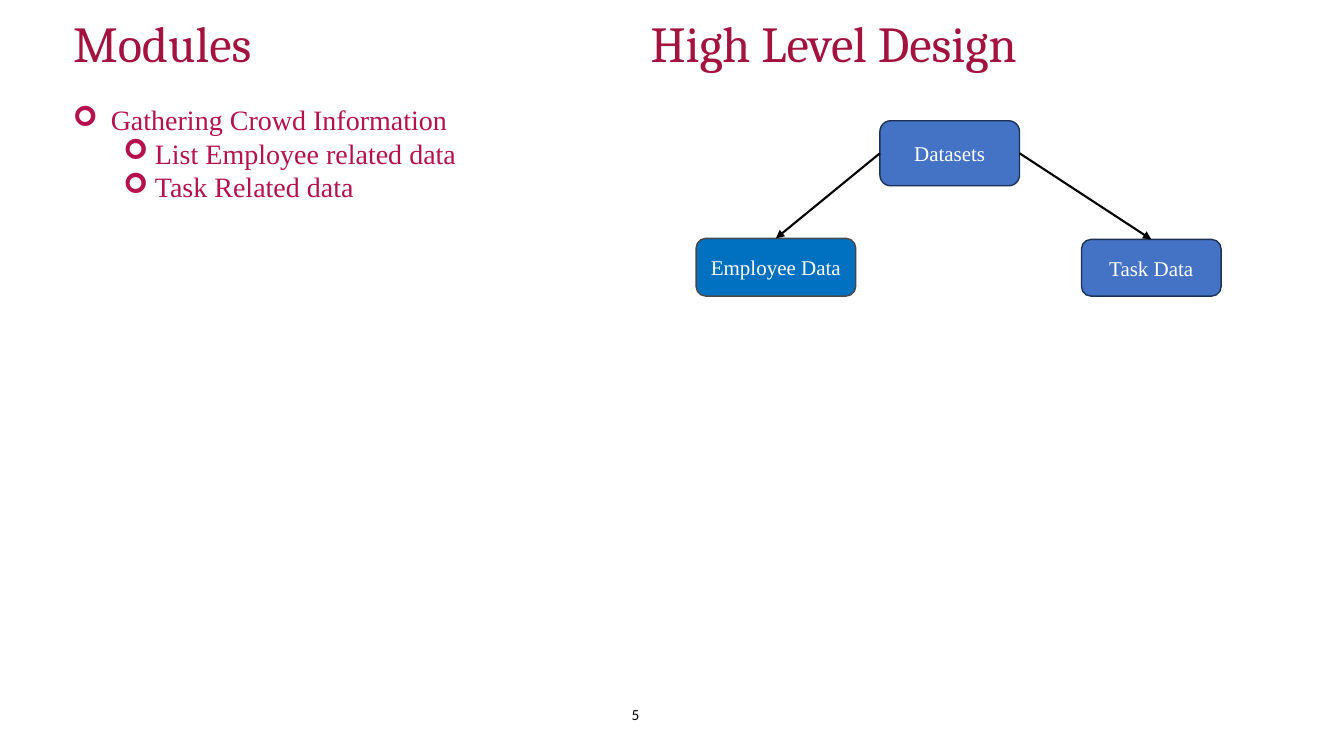
from lxml.etree import SubElement
from pptx import Presentation
from pptx.dml.color import RGBColor
from pptx.enum.shapes import MSO_CONNECTOR, MSO_SHAPE
from pptx.enum.text import MSO_ANCHOR, MSO_AUTO_SIZE, PP_ALIGN
from pptx.oxml.ns import qn
from pptx.util import Pt

PX = 9525  # EMU per pixel, 96 pixels to the inch

CRIMSON = RGBColor(0xA4, 0x12, 0x3F)
RASPBERRY = RGBColor(0xB6, 0x11, 0x4D)
BLUE = RGBColor(0x44, 0x72, 0xC4)
NAVY = RGBColor(0x1E, 0x32, 0x56)
BRIGHT_BLUE = RGBColor(0x00, 0x70, 0xC0)
GRAY = RGBColor(0x48, 0x48, 0x48)
BLACK = RGBColor(0, 0, 0)
WHITE = RGBColor(255, 255, 255)

SERIF = "Times New Roman"
TOP, LEFT, RIGHT = 0, 1, 3  # connection sites


def px(*lengths):
    return [length * PX for length in lengths]


def write(paragraph, text, font=SERIF, size=20, color=BLACK, align=PP_ALIGN.LEFT):
    paragraph.alignment = align
    run = paragraph.add_run()
    run.text = text
    run.font.name = font
    run.font.size = Pt(size)
    run.font.color.rgb = color


def add_title(slide, box, headings, column_gap):
    """Both headings share the title, the second one at a tab stop."""
    title = slide.shapes.title
    title.left, title.top, title.width, title.height = px(*box)
    frame = title.text_frame
    frame.auto_size = MSO_AUTO_SIZE.NONE
    frame.vertical_anchor = MSO_ANCHOR.MIDDLE
    paragraph = frame.paragraphs[0]
    paragraph.line_spacing = 0.9
    write(paragraph, "\t".join(headings), font="Cambria", size=36, color=CRIMSON)
    tabs = SubElement(paragraph._p.get_or_add_pPr(), qn("a:tabLst"))
    SubElement(tabs, qn("a:tab"), pos=str(column_gap * PX), algn="l")


def add_text_box(slide, box):
    frame = slide.shapes.add_textbox(*px(*box)).text_frame
    frame.word_wrap = True
    return frame


def add_module_list(slide, box, items):
    frame = add_text_box(slide, box)
    indents = [(36, -36), (78, -30)]  # left margin and hanging indent per level
    for index, (level, text) in enumerate(items):
        paragraph = frame.add_paragraph() if index else frame.paragraphs[0]
        paragraph.level = level
        write(paragraph, text, color=RASPBERRY)
        margin, indent = px(*indents[level])
        properties = paragraph._p.get_or_add_pPr()
        properties.set("marL", str(margin))
        properties.set("indent", str(indent))
        SubElement(properties, qn("a:buFont"), typeface="Wingdings")
        SubElement(properties, qn("a:buChar"), char="➢")


def add_node(slide, box, text, fill=BLUE, line=NAVY):
    node = slide.shapes.add_shape(MSO_SHAPE.ROUNDED_RECTANGLE, *px(*box))
    node.shadow.inherit = False
    node.fill.solid()
    node.fill.fore_color.rgb = fill
    node.line.color.rgb = line
    node.line.width = Pt(1)
    frame = node.text_frame
    frame.word_wrap = True
    frame.vertical_anchor = MSO_ANCHOR.MIDDLE
    write(frame.paragraphs[0], text, size=15, color=WHITE, align=PP_ALIGN.CENTER)
    return node


def add_arrow(slide, start, start_site, end, end_site):
    arrow = slide.shapes.add_connector(MSO_CONNECTOR.STRAIGHT, 0, 0, 0, 0)
    arrow.begin_connect(start, start_site)
    arrow.end_connect(end, end_site)
    arrow.line.color.rgb = BLACK
    arrow.line.width = Pt(1.5)
    SubElement(arrow.line._get_or_add_ln(), qn("a:tailEnd"), type="triangle")
    SubElement(arrow._element.spPr, qn("a:effectLst"))


def add_design_diagram(slide, box):
    left, top, width, height = box
    node_width = 133
    bottom = top + height
    employee = add_node(slide, (left, bottom - 55, 152, 55), "Employee Data",
                        fill=BRIGHT_BLUE, line=GRAY)
    datasets = add_node(slide, (left + 175, top, node_width, 62), "Datasets")
    task = add_node(slide, (left + width - node_width, bottom - 54, node_width, 54),
                    "Task Data")
    add_arrow(slide, datasets, LEFT, employee, TOP)
    add_arrow(slide, datasets, RIGHT, task, TOP)


def add_page_number(slide, box, number):
    frame = add_text_box(slide, box)
    write(frame.paragraphs[0], number, font="Calibri", size=11)


def main():
    presentation = Presentation()
    presentation.slide_width, presentation.slide_height = px(1280, 720)
    slide = presentation.slides.add_slide(presentation.slide_layouts[5])

    add_title(slide, (60, 22, 1104, 44), ["Modules", "High Level Design"], 550)
    add_design_diagram(slide, (663, 115, 500, 167))
    add_module_list(slide, (60, 93, 468, 107), [
        (0, "Gathering Crowd Information"),
        (1, "List Employee related data"),
        (1, "Task Related data"),
    ])
    add_page_number(slide, (592, 667, 25, 28), "5")

    presentation.save("out.pptx")


if __name__ == "__main__":
    main()
